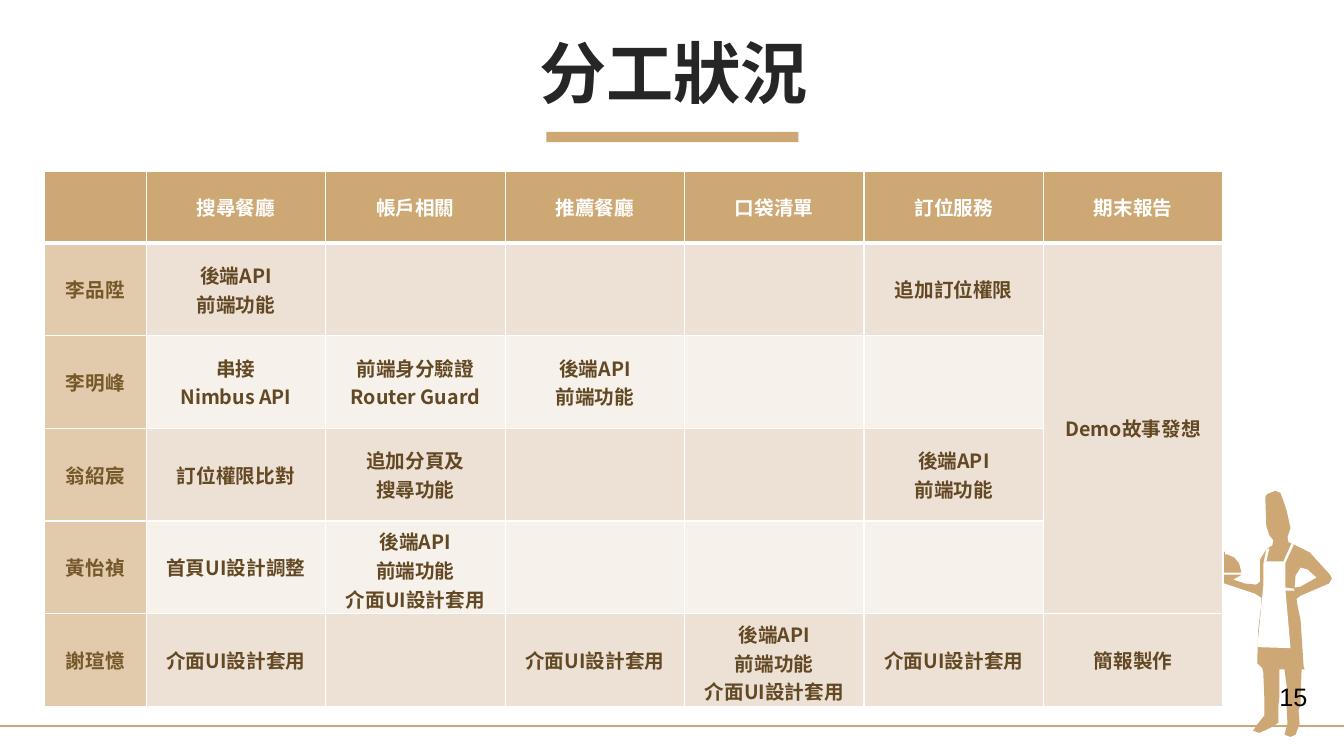
from lxml.etree import SubElement
from pptx import Presentation
from pptx.dml.color import RGBColor
from pptx.enum.shapes import MSO_CONNECTOR as Link, MSO_SHAPE as Shape
from pptx.enum.text import MSO_ANCHOR as Anchor, MSO_AUTO_SIZE as Fit, PP_ALIGN as Align
from pptx.oxml.ns import qn
from pptx.util import Inches, Pt

# Content
TITLE = "分工狀況"
PAGE = "15"
HEADS = ["", "搜尋餐廳", "帳戶相關", "推薦餐廳", "口袋清單", "訂位服務", "期末報告"]
BOTH = "後端API\v前端功能"
STYLE = "介面UI設計套用"
FULL = BOTH + "\n" + STYLE
TASKS = [
    ["李品陞", BOTH, "", "", "", "追加訂位權限", "Demo故事發想"],
    ["李明峰", "串接\nNimbus API", "前端身分驗證\nRouter Guard", BOTH, "", "", ""],
    ["翁紹宸", "訂位權限比對", "追加分頁及\n搜尋功能", "", "", BOTH, ""],
    ["黃怡禎", "首頁UI設計調整", FULL, "", "", "", ""],
    ["謝瑄憶", STYLE, "", STYLE, FULL, STYLE, "簡報製作"],
]

# Chef outlines, in hundredths of an inch
BODY = [
    (1198, 570), (1232, 570), (1223, 575), (1235, 579), (1246, 580), (1250, 577),
    (1250, 568), (1250, 555), (1256, 545), (1262, 541), (1263, 536), (1259, 531),
    (1256, 522), (1255, 493), (1257, 490), (1265, 487), (1270, 489), (1273, 497),
    (1276, 506), (1280, 524), (1277, 533), (1278, 538), (1285, 541), (1299, 548),
    (1319, 570), (1321, 574), (1318, 579), (1290, 591), (1286, 594), (1287, 601),
    (1290, 615), (1293, 661), (1294, 664), (1291, 664), (1290, 692), (1290, 698),
    (1288, 705), (1289, 718), (1285, 729), (1280, 731), (1274, 729), (1277, 718),
    (1276, 699), (1277, 687), (1274, 664), (1269, 664), (1269, 691), (1268, 700),
    (1268, 717), (1262, 721), (1256, 724), (1249, 727), (1243, 725), (1246, 720),
    (1254, 710), (1254, 691), (1253, 667), (1252, 663), (1247, 658), (1248, 625),
    (1251, 600), (1251, 593), (1245, 589), (1209, 577), (1204, 575), (1198, 573),
]
ELBOW = [(1284, 583), (1290, 582), (1306, 573), (1297, 565), (1290, 563), (1285, 571)]
APRON = [
    (1281, 539), (1273, 557), (1256, 557), (1259, 544), (1256, 545), (1253, 560),
    (1253, 581), (1250, 612), (1247, 642), (1280, 643), (1275, 586), (1284, 586),
    (1283, 584), (1275, 583), (1275, 558), (1283, 541),
]
DOME = [
    (1214, 547), (1212, 548), (1212, 550), (1210, 550), (1203, 553), (1198, 559),
    (1196, 567), (1196, 568), (1231, 568), (1231, 567), (1229, 559), (1224, 553),
    (1217, 550), (1215, 550), (1215, 548),
]

GOLD = RGBColor(0xCD, 0xA8, 0x74)
TAN = RGBColor(0xE1, 0xCB, 0xAC)
BEIGE = RGBColor(0xED, 0xE1, 0xD6)
CREAM = RGBColor(0xF6, 0xF1, 0xEB)
WHITE = RGBColor(0xFF, 0xFF, 0xFF)
DARK = RGBColor(0x26, 0x26, 0x26)
BLACK = RGBColor(0, 0, 0)
OCHRE = RGBColor(0x76, 0x57, 0x2A)
BROWN = RGBColor(0x63, 0x49, 0x23)
FONT = "Noto Sans CJK SC"


def paint(shape, color):
    shape.shadow.inherit = False
    shape.fill.solid()
    shape.fill.fore_color.rgb = color
    shape.line.fill.background()


def outline(color, *loops):
    pen = None
    for first, *rest in loops:
        if pen is None:
            pen = slide.shapes.build_freeform(*first, scale=Inches(0.01))
        else:
            pen.move_to(*first)
        pen.add_line_segments(rest, close=True)
    paint(pen.convert_to_shape(), color)


def write(frame, text, size, color):
    frame.text = text
    for para in frame.paragraphs:
        para.alignment = Align.CENTER
        font = para.font
        font.size, font.bold, font.name = Pt(size), True, FONT
        font.color.rgb = color
        props = para._p.pPr.find(qn("a:defRPr"))
        SubElement(props, qn("a:ea"), typeface=FONT)


def border(cell, side, width):
    edge = SubElement(cell._tc.get_or_add_tcPr(), qn("a:ln" + side), w=str(Pt(width)))
    fill = SubElement(edge, qn("a:solidFill"))
    SubElement(fill, qn("a:srgbClr"), val=str(WHITE))


deck = Presentation()
deck.slide_width, deck.slide_height = Inches(13.33), Inches(7.5)
slide = deck.slides.add_slide(deck.slide_layouts[6])

# Title bar and floor line
bar = slide.shapes.add_shape(
    Shape.RECTANGLE, Inches(5.42), Inches(1.31), Inches(2.5), Inches(0.1))
paint(bar, GOLD)
floor = slide.shapes.add_connector(
    Link.STRAIGHT, 0, Inches(7.2), Inches(13.33), Inches(7.2))
floor.line.color.rgb = GOLD
floor.line.width = Pt(1.5)
SubElement(floor._element.spPr, qn("a:effectLst"))

# Chef
outline(GOLD, BODY, ELBOW)
outline(WHITE, APRON)
outline(GOLD, DOME)

# Title
box = slide.shapes.add_textbox(Inches(0.35), Inches(0.37), Inches(12.66), Inches(0.79))
frame = box.text_frame
frame.word_wrap = True
frame.vertical_anchor = Anchor.MIDDLE
write(frame, TITLE, 48, DARK)
frame.paragraphs[0].line_spacing = 0.9
frame.paragraphs[0].space_before = Pt(10)

# Task table
rows = [HEADS] + TASKS
table = slide.shapes.add_table(
    len(rows), len(HEADS), Inches(0.44), Inches(1.7), Inches(11.67), Inches(5.3)).table
for c, col in enumerate(table.columns):
    col.width = Inches(1.78 if c else 1.01)
for r, row in enumerate(rows):
    table.rows[r].height = Inches(0.92 if r else 0.71)
    for c, text in enumerate(row):
        cell = table.cell(r, c)
        if r == 0:
            fill, ink = GOLD, WHITE
        elif c == 0:
            fill, ink = TAN, OCHRE
        else:
            fill, ink = BEIGE if r % 2 or c == 6 else CREAM, BROWN
        for side in "LRTB":
            thick = (r, side) in ((0, "B"), (1, "T"))
            border(cell, side, 3 if thick else 1)
        cell.fill.solid()
        cell.fill.fore_color.rgb = fill
        cell.vertical_anchor = Anchor.MIDDLE
        cell.margin_left = cell.margin_right = Inches(0.12)
        cell.margin_top = cell.margin_bottom = Inches(0.06)
        write(cell.text_frame, text, 14, ink)
table.cell(1, 6).merge(table.cell(4, 6))

# Page number
box = slide.shapes.add_textbox(Inches(12.59), Inches(6.71), Inches(0.48), Inches(0.4))
frame = box.text_frame
frame.word_wrap = False
frame.auto_size = Fit.SHAPE_TO_FIT_TEXT
frame.text = PAGE
font = frame.paragraphs[0].font
font.size, font.name = Pt(18), "Arial"
font.color.rgb = BLACK

deck.save("out.pptx")
